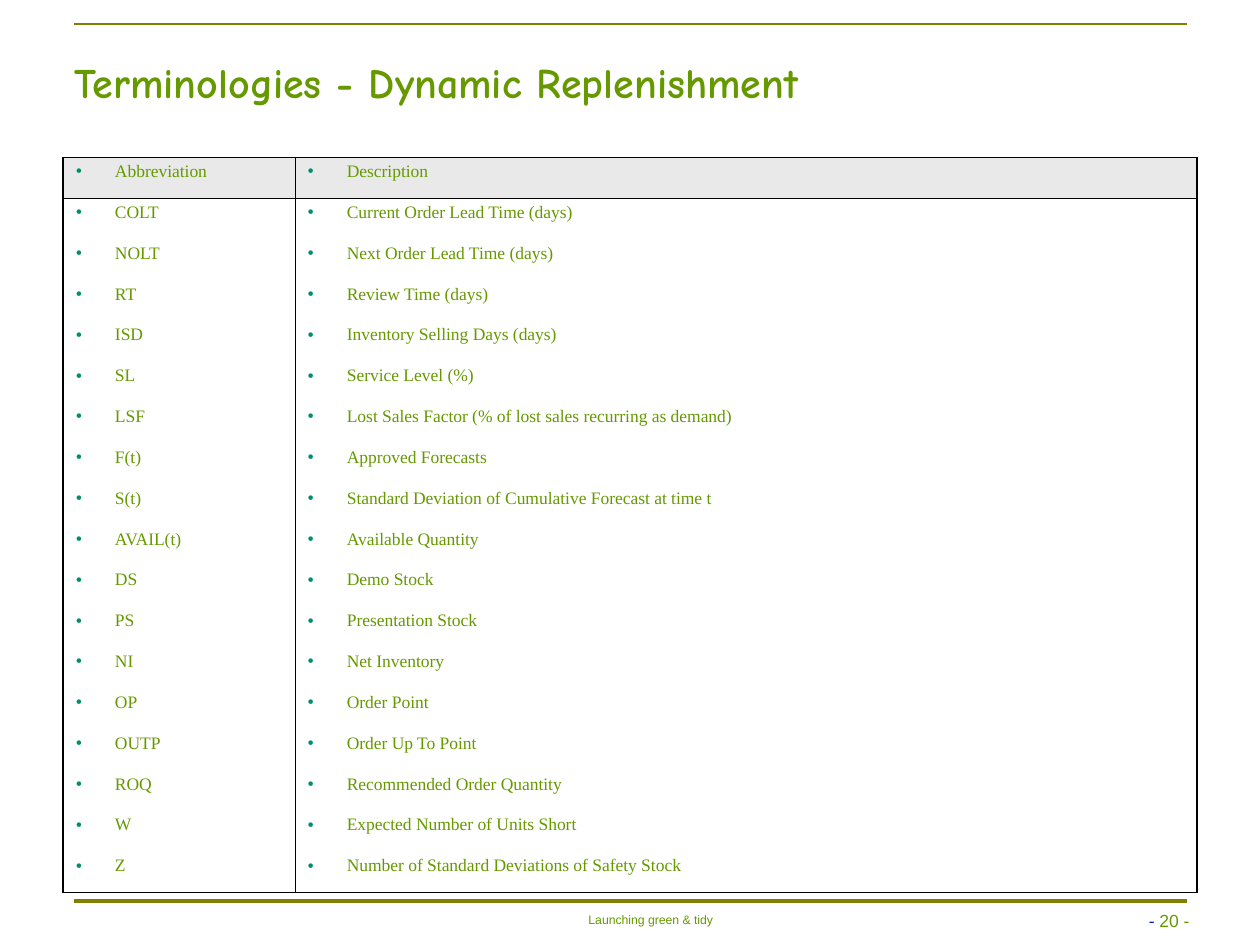
from typing import NamedTuple

from lxml.etree import SubElement
from pptx import Presentation
from pptx.dml.color import RGBColor
from pptx.enum.shapes import MSO_CONNECTOR as Connector
from pptx.enum.text import MSO_ANCHOR as Anchor, MSO_AUTO_SIZE as AutoSize, PP_ALIGN as Align
from pptx.oxml.ns import qn
from pptx.util import Pt

COLORS = {
    "green": "669900",
    "olive": "808000",
    "navy": "00279F",
    "teal": "008F6D",
    "grey": "E9E9E9",
    "black": "000000",
}
TABLE_FONT = "Times New Roman"
THIN, THICK = 0.45, 0.96
ROW_HEIGHT = 23.34


class Span(NamedTuple):
    text: str
    color: str = "green"


class Label(NamedTuple):
    left: float
    top: float
    width: float
    height: float
    spans: tuple[Span, ...]
    font: str
    size: float
    bold: bool = False
    align: Align = Align.LEFT
    anchor: Anchor = Anchor.TOP
    margins: tuple[float, float] = (5, 2.2)
    spacing: float = 1.0
    wrap: bool = True


class Rule(NamedTuple):
    top: float
    weight: float


class Term(NamedTuple):
    abbreviation: str
    description: str


RULES = (Rule(13.7, 1), Rule(514.8, 2))

LABELS = (
    Label(37.4, 25.9, 533.5, 38.2, (Span("Terminologies - Dynamic Replenishment"),),
          "Comic Neue", 24, bold=True, anchor=Anchor.BOTTOM, spacing=0.97),
    Label(644.4, 493.9, 40.3, 40.3, (Span("- ", "navy"), Span("20 -")),
          "Arial", 10, align=Align.RIGHT, anchor=Anchor.BOTTOM),
    Label(331.9, 522, 80, 7.9, (Span("Launching green & tidy"),),
          "Arial", 7, align=Align.CENTER, margins=(0, 0), spacing=0.9, wrap=False),
)

TERMS = (
    Term("Abbreviation", "Description"),
    Term("COLT", "Current Order Lead Time (days)"),
    Term("NOLT", "Next Order Lead Time (days)"),
    Term("RT", "Review Time (days)"),
    Term("ISD", "Inventory Selling Days (days)"),
    Term("SL", "Service Level (%)"),
    Term("LSF", "Lost Sales Factor (% of lost sales recurring as demand)"),
    Term("F(t)", "Approved Forecasts"),
    Term("S(t)", "Standard Deviation of Cumulative Forecast at time t"),
    Term("AVAIL(t)", "Available Quantity"),
    Term("DS", "Demo Stock"),
    Term("PS", "Presentation Stock"),
    Term("NI", "Net Inventory"),
    Term("OP", "Order Point"),
    Term("OUTP", "Order Up To Point"),
    Term("ROQ", "Recommended Order Quantity"),
    Term("W", "Expected Number of Units Short"),
    Term("Z", "Number of Standard Deviations of Safety Stock"),
)


def rgb(name: str) -> RGBColor:
    return RGBColor.from_string(COLORS[name])


def style_font(font, name: str, size: float, color: str, bold: bool = False) -> None:
    font.name = name
    font.size = Pt(size)
    font.bold = bold
    font.color.rgb = rgb(color)


def draw_rule(page, rule: Rule) -> None:
    line = page.shapes.add_connector(
        Connector.STRAIGHT, Pt(42.5), Pt(rule.top), Pt(678.2), Pt(rule.top))
    line.line.color.rgb = rgb("olive")
    line.line.width = Pt(rule.weight)
    SubElement(line._element.spPr, qn("a:effectLst"))


def draw_label(page, label: Label) -> None:
    box = page.shapes.add_textbox(
        Pt(label.left), Pt(label.top), Pt(label.width), Pt(label.height))
    frame = box.text_frame
    frame.word_wrap = label.wrap
    if not label.wrap:
        frame.auto_size = AutoSize.SHAPE_TO_FIT_TEXT
    frame.vertical_anchor = label.anchor
    side, end = label.margins
    frame.margin_left = frame.margin_right = Pt(side)
    frame.margin_top = frame.margin_bottom = Pt(end)
    para = frame.paragraphs[0]
    para.alignment = label.align
    para.line_spacing = label.spacing
    for span in label.spans:
        run = para.add_run()
        run.text = span.text
        style_font(run.font, label.font, label.size, span.color, label.bold)


def set_border(cell, side: str, weight: float) -> None:
    line = SubElement(cell._tc.get_or_add_tcPr(), qn(f"a:ln{side}"), w=str(Pt(weight)))
    if weight:
        fill = SubElement(line, qn("a:solidFill"))
        SubElement(fill, qn("a:srgbClr"), val=COLORS["black"])
    else:
        SubElement(line, qn("a:noFill"))


def add_bullet(para) -> None:
    props = para._p.get_or_add_pPr()
    props.set("marL", str(Pt(22.5)))
    props.set("indent", str(Pt(-22.5)))
    color = SubElement(props, qn("a:buClr"))
    SubElement(color, qn("a:srgbClr"), val=COLORS["teal"])
    SubElement(props, qn("a:buSzPct"), val="110000")
    SubElement(props, qn("a:buFont"), typeface=TABLE_FONT)
    SubElement(props, qn("a:buChar"), char="•")


def fill_cell(cell, text: str, row: int, column: int) -> None:
    borders = {
        "L": THIN if column else THICK,
        "R": THICK if column else THIN,
        "T": THIN if row <= 1 else 0,
        "B": THIN if row in (0, len(TERMS) - 1) else 0,
    }
    for side, weight in borders.items():
        set_border(cell, side, weight)
    if row == 0:
        cell.fill.solid()
        cell.fill.fore_color.rgb = rgb("grey")
    else:
        cell.fill.background()
    cell.margin_left = cell.margin_right = Pt(7.2)
    cell.margin_top = cell.margin_bottom = Pt(3.6)
    para = cell.text_frame.paragraphs[0]
    para.text = text
    para.line_spacing = 0.9
    add_bullet(para)
    style_font(para.runs[0].font, TABLE_FONT, 10, "green")


def draw_terms(page) -> None:
    table = page.shapes.add_table(
        len(TERMS), 2, Pt(36), Pt(90), Pt(648), Pt(ROW_HEIGHT * len(TERMS))).table
    table.first_row = table.horz_banding = False
    for column, width in zip(table.columns, (132.5, 515.5)):
        column.width = Pt(width)
    for row, term in enumerate(TERMS):
        table.rows[row].height = Pt(ROW_HEIGHT)
        for column, text in enumerate(term):
            fill_cell(table.cell(row, column), text, row, column)


def main() -> None:
    deck = Presentation()
    deck.slide_width, deck.slide_height = Pt(720), Pt(540)
    page = deck.slides.add_slide(deck.slide_layouts[6])
    for rule in RULES:
        draw_rule(page, rule)
    for label in LABELS:
        draw_label(page, label)
    draw_terms(page)
    deck.save("out.pptx")


if __name__ == "__main__":
    main()
